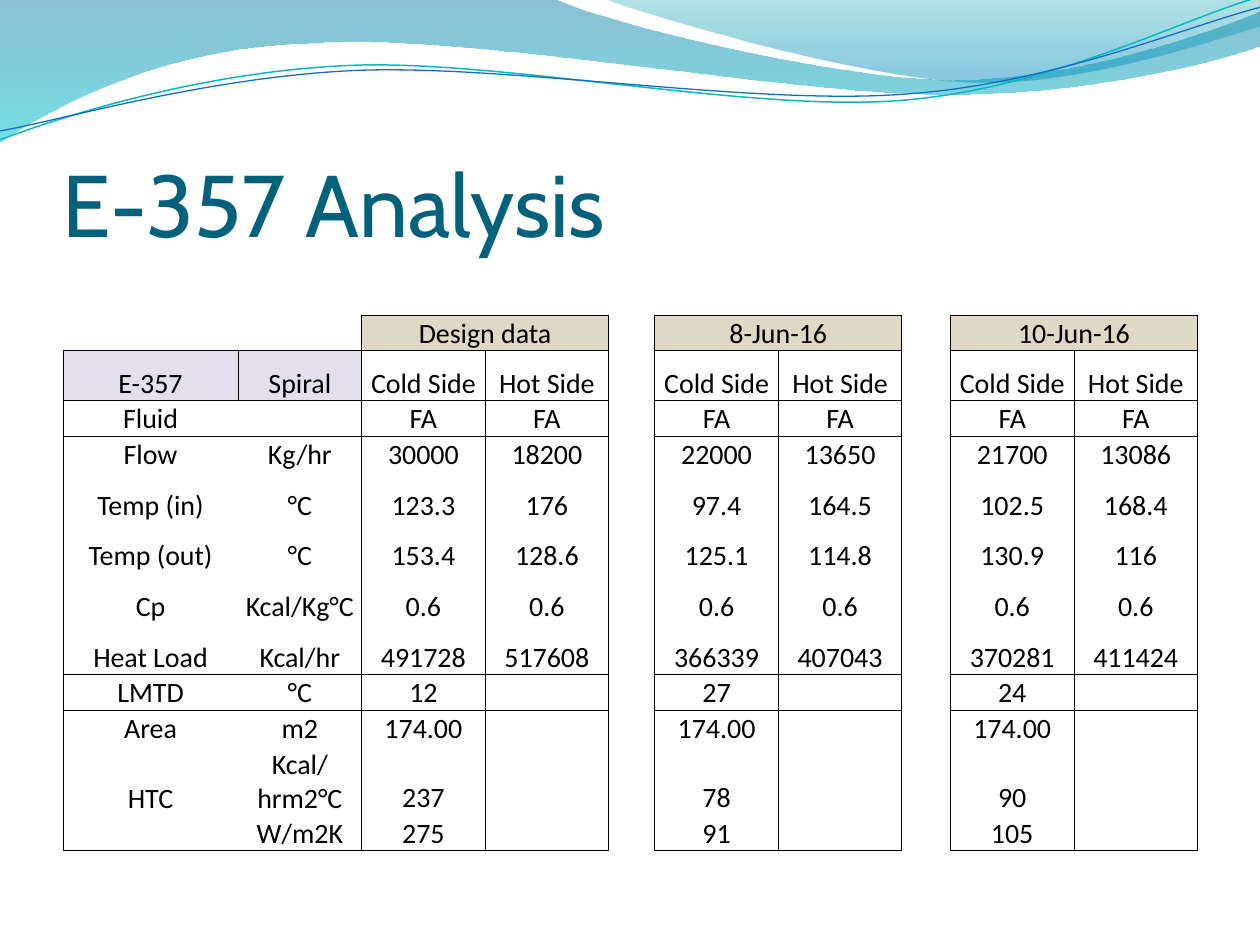
from collections import defaultdict
from dataclasses import dataclass
from typing import Any

from lxml import etree
from pptx import Presentation
from pptx import util as u
from pptx.dml import color
from pptx.enum import text
from pptx.oxml import ns

HUES = {
    "title": "04617B", "ink": "000000", "head": "DDD9C4", "name": "E4DFEC",
    "sea": "0074A1", "aqua": "00C6CF", "teal": "00A1A9", "sky": "008BBF",
    "thin": "0AB8BF", "blue": "0F6FC6",
}
CELL = {
    "margin_left": u.Cm(0.03), "margin_right": u.Cm(0.03),
    "margin_top": u.Cm(0.03), "margin_bottom": 0,
    "vertical_anchor": text.MSO_ANCHOR.BOTTOM,
}
FRAME = {
    "margin_left": 0, "margin_right": 0, "margin_top": u.Cm(0.13),
    "margin_bottom": 0, "word_wrap": True,
    "vertical_anchor": text.MSO_ANCHOR.BOTTOM,
}
BODY = {"size": u.Pt(16), "name": "Calibri"}
TITLE = {"size": u.Pt(50), "name": "Cabin"}
NO_STYLE = "{2D5ABB26-0587-4C30-8999-92F81FD0307C}"

WIDE, PAIR = 3.53, 2.49
COLS = [WIDE, PAIR, PAIR, PAIR, 0.93, PAIR, PAIR, 0.98, PAIR, PAIR]
ROWS = [0.7, 1.02, 0.72, 0.72, 1.02, 1.02, 1.02, 1.02, 0.72, 0.72, 1.4, 0.7]
STARTS = (2, 5, 8)
BANDS = ((1, 1), (2, 7), (8, 11))
DATES = ("Design data", "8-Jun-16", "10-Jun-16")
SLOTS = (0, 1, 2, 3, 5, 6, 8, 9)
DATA = [
    ("E-357", "Spiral") + ("Cold Side", "Hot Side") * 3,
    ("Fluid", "") + ("FA",) * 6,
    ("Flow", "Kg/hr", "30000", "18200", "22000", "13650", "21700", "13086"),
    ("Temp (in)", "°C", "123.3", "176", "97.4", "164.5", "102.5", "168.4"),
    ("Temp (out)", "°C", "153.4", "128.6", "125.1", "114.8", "130.9", "116"),
    ("Cp", "Kcal/Kg°C") + ("0.6",) * 6,
    ("Heat Load", "Kcal/hr", "491728", "517608", "366339", "407043", "370281", "411424"),
    ("LMTD", "°C", "12", "", "27", "", "24", ""),
    ("Area", "m2") + ("174.00", "") * 3,
    ("HTC", "Kcal/hrm2°C", "237", "", "78", "", "90", ""),
    ("", "W/m2K", "275", "", "91", "", "105", ""),
]


@dataclass
class Stop:
    at: float
    hue: str
    alpha: int


@dataclass
class Wave:
    ops: str
    pts: list[tuple[float, float]]
    stops: tuple[Stop, ...] = ()
    hue: str = ""
    width: float = 0


WAVES = [
    Wave("LCCLCCCL", [
        (0, 0), (11.18, -0.03),
        (12.09, 0.43), (16.87, 1.6), (19.25, 1.6),
        (21.67, 1.6), (24.33, 0.66), (25.4, 0.23), (25.43, 0.91),
        (24.97, 1.12), (22.1, 1.93), (18.95, 1.9),
        (15.8, 1.9), (9.7, 0.71), (6.53, 0.86),
        (3.28, 0.91), (1.17, 2.11), (-0.03, 2.87), (0, 0),
    ], (Stop(0, "sea", 45), Stop(1, "aqua", 55))),
    Wave("CCLL", [
        (12.17, -0.03), (12.93, 0.28), (17.32, 1.57), (19.53, 1.65),
        (21.74, 1.75), (24.41, 0.81), (25.4, 0.53), (25.4, 0), (12.17, -0.03),
    ], (Stop(0, "teal", 30), Stop(0.8, "sky", 45))),
    Wave("CCC", [
        (0, 2.82), (1.22, 2.36), (4.01, 1.45), (7.04, 1.32),
        (10.03, 1.19), (15.06, 2.26), (18.11, 2.03),
        (21.16, 1.8), (23.83, 0.38), (25.35, -0.05),
    ], hue="thin", width=0.85),
    Wave("CCC", [
        (0, 2.64), (1.19, 2.44), (4.17, 1.55), (7.19, 1.42),
        (10.24, 1.3), (15.16, 2.13), (18.21, 1.9),
        (21.23, 1.7), (23.9, 0.53), (25.4, 0.15),
    ], hue="blue", width=0.75),
]


def rgb(key: str) -> color.RGBColor:
    return color.RGBColor.from_string(HUES[key])


def style(obj: Any, form: dict[str, Any]) -> None:
    for key, val in form.items():
        setattr(obj, key, val)


def write(para: Any, words: str, form: dict[str, Any], hue: str) -> None:
    run = para.add_run()
    run.text = words
    style(run.font, form)
    run.font.color.rgb = rgb(hue)


def bend(shape: Any, ops: str) -> None:
    steps = iter(list(shape._element.iter(ns.qn("a:lnTo"))))
    for op in ops:
        first = next(steps)
        if op == "C":
            curve = etree.Element(ns.qn("a:cubicBezTo"))
            first.addprevious(curve)
            for step in (first, next(steps), next(steps)):
                curve.append(step[0])
                step.getparent().remove(step)


def draw_wave(slide: Any, wave: Wave) -> None:
    pts = [(u.Cm(x), u.Cm(y)) for x, y in wave.pts]
    pen = slide.shapes.build_freeform(*pts[0], scale=1.0)
    pen.add_line_segments(pts[1:], close=bool(wave.stops))
    shape = pen.convert_to_shape()
    shape.shadow.inherit = False
    bend(shape, wave.ops)
    if not wave.stops:
        shape.fill.background()
        shape.line.color.rgb = rgb(wave.hue)
        shape.line.width = u.Pt(wave.width)
        return
    shape.line.fill.background()
    shape.fill.gradient()
    shape.fill.gradient_angle = 270
    for part, stop in zip(shape.fill.gradient_stops, wave.stops):
        part.position = stop.at
        part.color.rgb = rgb(stop.hue)
    for node, stop in zip(shape._element.spPr.iter(ns.qn("a:srgbClr")), wave.stops):
        etree.SubElement(node, ns.qn("a:alpha"), val=str(stop.alpha * 1000))


def draw_title(slide: Any) -> None:
    box = slide.shapes.add_textbox(u.Cm(1.27), u.Cm(1.96), u.Cm(22.86), u.Cm(3.18))
    style(box.text_frame, FRAME)
    write(box.text_frame.paragraphs[0], "E-357 Analysis", TITLE, "title")


def find_edges() -> dict[tuple[int, int], set[str]]:
    edges = defaultdict(set)
    for left in (0, *STARTS):
        for top, end in BANDS:
            for row in range(top, end + 1):
                edges[row, left].add("L")
                edges[row, left + 1].add("R")
            for col in (left, left + 1):
                edges[top, col].add("T")
                edges[end, col].add("B")
    for col in STARTS:
        edges[0, col] |= set("LRTB")
        edges[0, col + 1] |= set("RTB")
    edges[1, 0].add("R")
    edges[1, 1].add("L")
    edges[10, 0].add("B")
    return edges


def rule(cell: Any, sides: set[str]) -> None:
    prop = cell._tc.get_or_add_tcPr()
    for spot, side in enumerate(s for s in "LRTB" if s in sides):
        line = etree.Element(ns.qn(f"a:ln{side}"), w=str(u.Pt(0.5)))
        fill = etree.SubElement(line, ns.qn("a:solidFill"))
        etree.SubElement(fill, ns.qn("a:srgbClr"), val=HUES["ink"])
        prop.insert(spot, line)


def fill_cell(cell: Any, words: str, hue: str) -> None:
    style(cell, CELL)
    if hue:
        cell.fill.solid()
        cell.fill.fore_color.rgb = rgb(hue)
    else:
        cell.fill.background()
    para = cell.text_frame.paragraphs[0]
    para.alignment = text.PP_ALIGN.CENTER
    if words:
        write(para, words, BODY, "ink")
    else:
        etree.SubElement(para._p, ns.qn("a:endParaRPr"), sz="1600")


def draw_table(slide: Any) -> None:
    grid = slide.shapes.add_table(
        len(ROWS), len(COLS), u.Cm(1.27), u.Cm(6.35), u.Cm(sum(COLS)), u.Cm(sum(ROWS))
    ).table
    style(grid, {"first_row": False, "horz_banding": False})
    grid._tbl.tblPr.find(ns.qn("a:tableStyleId")).text = NO_STYLE
    for col, width in zip(grid.columns, COLS):
        col.width = u.Cm(width)
    for row, height in zip(grid.rows, ROWS):
        row.height = u.Cm(height)
    words = {(0, col): date for col, date in zip(STARTS, DATES)}
    for row, line in enumerate(DATA, 1):
        words.update({(row, col): val for col, val in zip(SLOTS, line)})
    hues = {(0, col): "head" for col in STARTS} | {(1, 0): "name", (1, 1): "name"}
    edges = find_edges()
    for row in range(len(ROWS)):
        for col in range(len(COLS)):
            key, cell = (row, col), grid.cell(row, col)
            fill_cell(cell, words.get(key, ""), hues.get(key, ""))
            rule(cell, edges[key])
    for col in STARTS:
        grid.cell(0, col).merge(grid.cell(0, col + 1))
    grid.cell(10, 0).merge(grid.cell(11, 0))
    grid.cell(10, 0).vertical_anchor = text.MSO_ANCHOR.MIDDLE


def main() -> None:
    deck = Presentation()
    style(deck, {"slide_width": u.Cm(25.4), "slide_height": u.Cm(19.05)})
    slide = deck.slides.add_slide(deck.slide_layouts[6])
    for wave in WAVES:
        draw_wave(slide, wave)
    draw_title(slide)
    draw_table(slide)
    deck.save("out.pptx")


if __name__ == "__main__":
    main()
